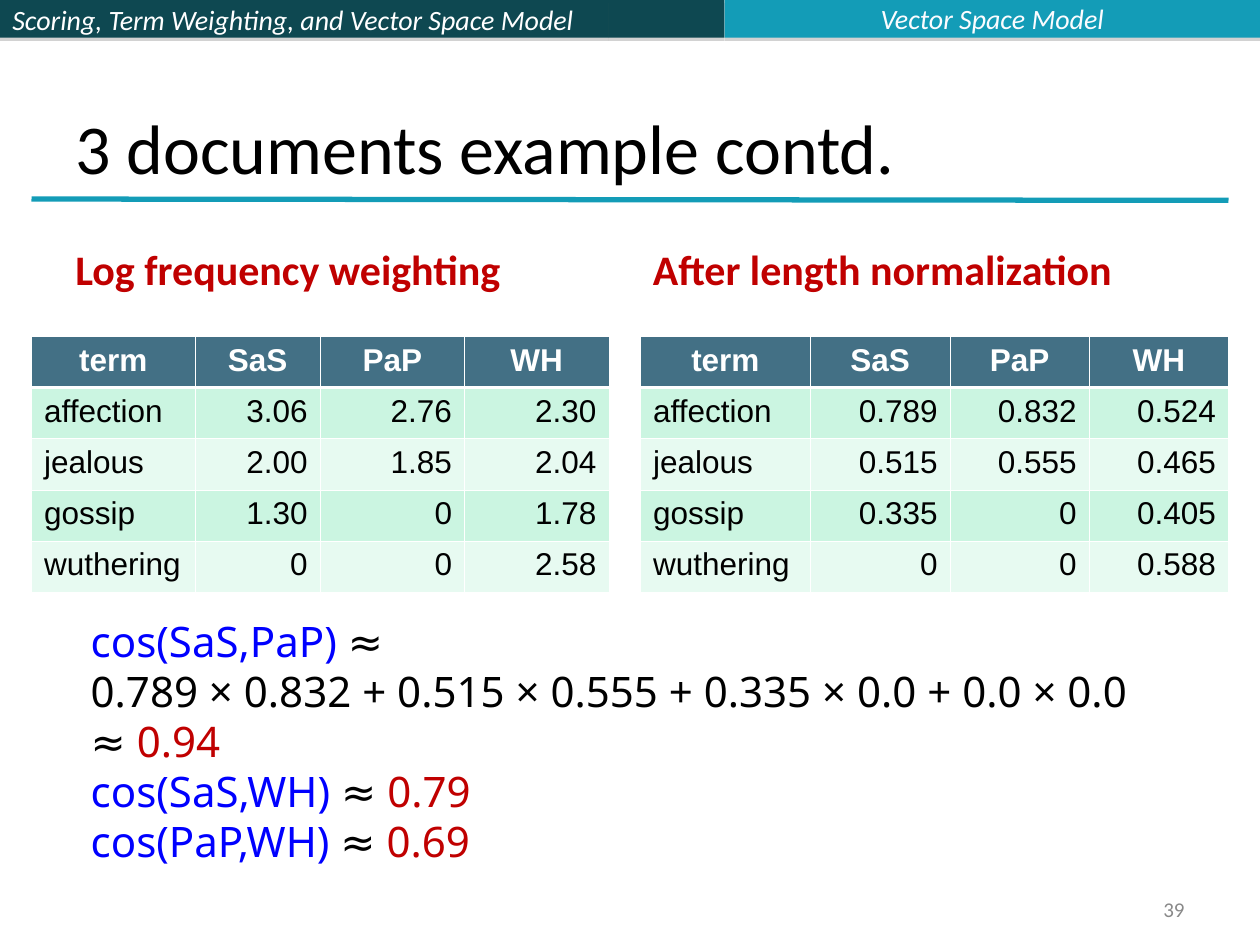
import pptx
import pptx.dml.color
import pptx.enum.shapes
import pptx.enum.text
import pptx.oxml
import pptx.oxml.ns
import pptx.util

Pt = pptx.util.Pt
ALIGN = pptx.enum.text.PP_ALIGN
ANCHOR = pptx.enum.text.MSO_ANCHOR
NS = pptx.oxml.ns.nsdecls("a")
TEAL, DARK, RED, BLUE, BLACK, WHITE = "139CB7", "0E4851", "C00000", "0000FF", "000000", "FFFFFF"

HEADER = ["term", "SaS", "PaP", "WH"]
LOG_ROWS = [
    ["affection", "3.06", "2.76", "2.30"],
    ["jealous", "2.00", "1.85", "2.04"],
    ["gossip", "1.30", "0", "1.78"],
    ["wuthering", "0", "0", "2.58"],
]
NORMALIZED_ROWS = [
    ["affection", "0.789", "0.832", "0.524"],
    ["jealous", "0.515", "0.555", "0.465"],
    ["gossip", "0.335", "0", "0.405"],
    ["wuthering", "0", "0", "0.588"],
]
COSINES = [
    [("cos(SaS,PaP) ", BLUE), ("≈", BLACK)],
    [("0.789 × 0.832 + 0.515 × 0.555 + 0.335 × 0.0 + 0.0 × 0.0", BLACK)],
    [("≈ ", BLACK), ("0.94", RED)],
    [("cos(SaS,WH)", BLUE), (" ≈ ", BLACK), ("0.79", RED)],
    [("cos(PaP,WH) ", BLUE), ("≈ ", BLACK), ("0.69", RED)],
]


def rgb(color):
    """Return the colour for a hex string."""
    return pptx.dml.color.RGBColor.from_string(color)


def style(p, size, color, name="Calibri", align=ALIGN.LEFT, bold=False, italic=False):
    """Format a whole paragraph."""
    p.alignment = align
    font = p.font
    font.size, font.name, font.bold, font.italic = Pt(size), name, bold, italic
    font.color.rgb = rgb(color)


def set_text(s, text, size, color, anchor=ANCHOR.MIDDLE, **options):
    """Put one formatted paragraph into a shape."""
    tf = s.text_frame
    tf.word_wrap = True
    tf.auto_size = pptx.enum.text.MSO_AUTO_SIZE.NONE
    tf.vertical_anchor = anchor
    tf.text = text
    style(tf.paragraphs[0], size, color, **options)


def add_text(sp, box, text, size, color, **options):
    """Add a text box with one paragraph."""
    s = sp.add_textbox(*map(Pt, box))
    set_text(s, text, size, color, **options)


def add_bar(sp, left, width, color):
    """Add a header bar with a thin shadow below it."""
    s = sp.add_shape(pptx.enum.shapes.MSO_SHAPE.RECTANGLE, Pt(left), 0, Pt(width), Pt(21.6))
    s.fill.solid()
    s.fill.fore_color.rgb = rgb(color)
    s.line.fill.background()
    s._element.spPr.append(pptx.oxml.parse_xml(
        f'<a:effectLst {NS}><a:outerShdw dist="{Pt(1.8)}" dir="5400000" rotWithShape="0">'
        '<a:srgbClr val="808080"><a:alpha val="35000"/></a:srgbClr></a:outerShdw></a:effectLst>'))
    return s


def add_rule(sp):
    """Add the line below the title."""
    s = sp.add_connector(pptx.enum.shapes.MSO_CONNECTOR.STRAIGHT,
                         Pt(18), Pt(113.75), Pt(702), Pt(114.5))
    s.line.color.rgb = rgb(TEAL)
    s.line.width = Pt(3)
    s._element.spPr.append(pptx.oxml.parse_xml(f"<a:effectLst {NS}/>"))


def set_borders(cell, top, bottom):
    """Draw white cell borders with the given top and bottom widths."""
    for side, width in (("L", 0.45), ("R", 0.45), ("T", top), ("B", bottom)):
        cell._tc.get_or_add_tcPr().append(pptx.oxml.parse_xml(
            f'<a:ln{side} {NS} w="{Pt(width)}"><a:solidFill><a:srgbClr val="{WHITE}"/>'
            f"</a:solidFill></a:ln{side}>"))


def add_term_table(sp, left, widths, rows):
    """Add a table of term weights for the documents."""
    grid = [HEADER] + rows
    table = sp.add_table(len(grid), len(widths), Pt(left), Pt(192.25),
                         Pt(sum(widths)), Pt(29.25 * len(grid))).table
    for column, width in zip(table.columns, widths):
        column.width = Pt(width)
    for i, row in enumerate(grid):
        for j, text in enumerate(row):
            cell = table.cell(i, j)
            set_borders(cell, 1.47 if i == 1 else 0.45, 1.47 if i == 0 else 0.45)
            cell.fill.solid()
            cell.fill.fore_color.rgb = rgb("437085" if i == 0 else "CBF5E1" if i % 2 else "E7FAF1")
            cell.text = text
            align = ALIGN.CENTER if i == 0 else ALIGN.RIGHT if j else ALIGN.LEFT
            style(cell.text_frame.paragraphs[0], 18, BLACK if i else WHITE,
                  name="Arial", align=align, bold=i == 0)


def add_cosines(sp):
    """Add the cosine similarities, one paragraph a line."""
    tf = sp.add_textbox(Pt(44.75), Pt(348.5), Pt(606), Pt(151)).text_frame
    tf.word_wrap = False
    for i, runs in enumerate(COSINES):
        p = tf.add_paragraph() if i else tf.paragraphs[0]
        p.line_spacing = Pt(28.6)
        p.font.size, p.font.name = Pt(24), "Noto Sans"
        for text, color in runs:
            r = p.add_run()
            r.text = text
            r.font.color.rgb = rgb(color)


def main():
    """Build the slide and save it."""
    prs = pptx.Presentation()
    prs.slide_width, prs.slide_height = Pt(720), Pt(540)
    slide = prs.slides.add_slide(prs.slide_layouts[5])
    sp = slide.shapes

    title = sp.title
    title.left, title.top, title.width, title.height = map(Pt, (36, 21.6, 648, 90))
    set_text(title, "3 documents example contd.", 40, BLACK, anchor=ANCHOR.BOTTOM)

    course = add_bar(sp, 0, 348, DARK)
    set_text(course, "Scoring, Term Weighting, and Vector Space Model", 16, WHITE, italic=True)
    add_bar(sp, 348, 66, DARK)
    add_bar(sp, 414, 306, TEAL)
    add_text(sp, (414, -2.9, 306, 26.6), "Vector Space Model", 16, "FBFCFF",
             align=ALIGN.CENTER, italic=True)
    add_rule(sp)

    for left, heading, table_left, widths, rows in (
        (36, "Log frequency weighting", 18, (93.5, 71.5, 82.5, 82.5), LOG_ROWS),
        (366, "After length normalization", 366, (97, 80, 79.5, 79.5), NORMALIZED_ROWS),
    ):
        add_text(sp, (left, 121, 318, 50.4), heading, 24, RED, anchor=ANCHOR.BOTTOM, bold=True)
        add_term_table(sp, table_left, widths, rows)

    add_cosines(sp)
    add_text(sp, (516, 510, 168, 19.4), "39", 12, "898989", align=ALIGN.RIGHT)
    prs.save("out.pptx")


if __name__ == "__main__":
    main()
